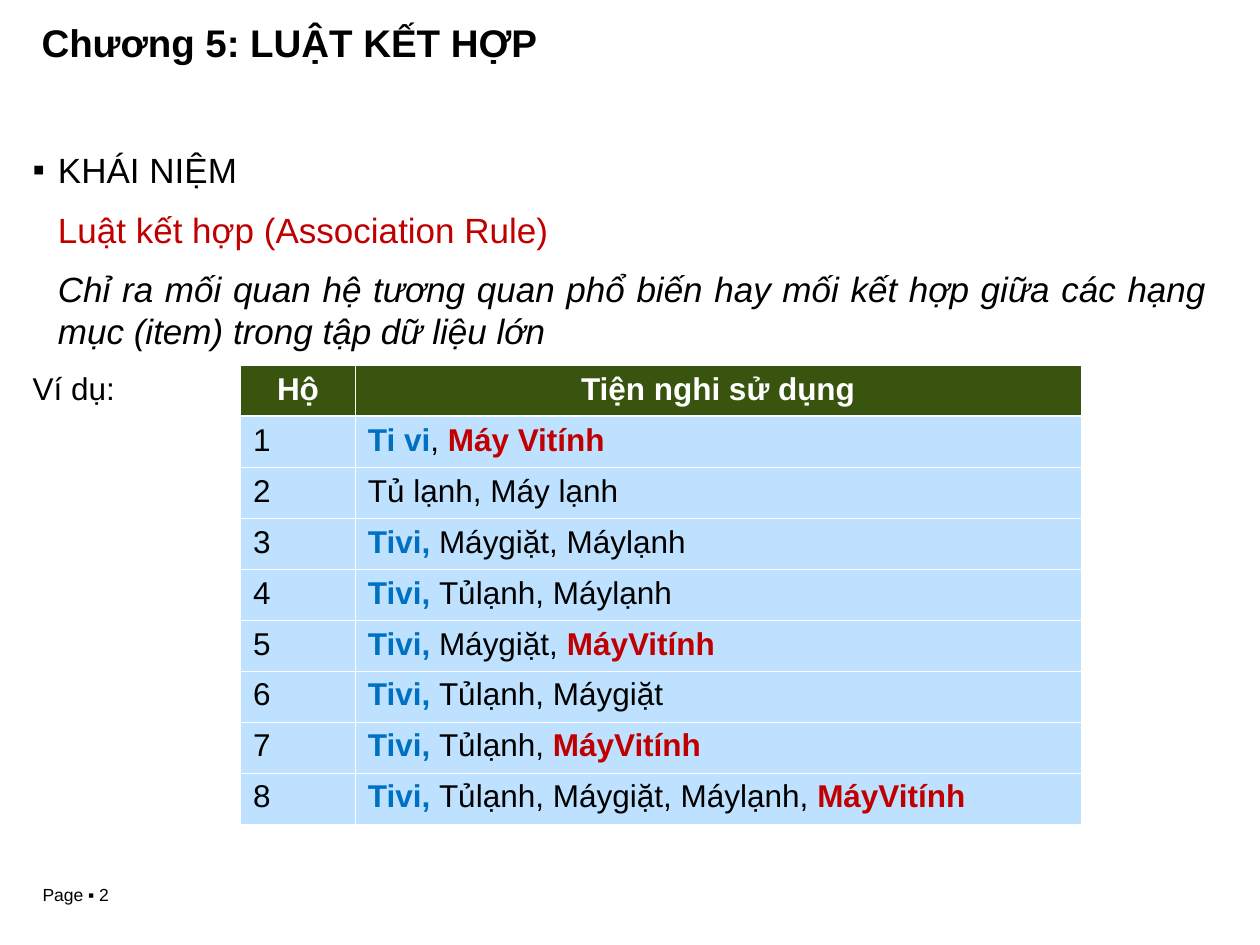
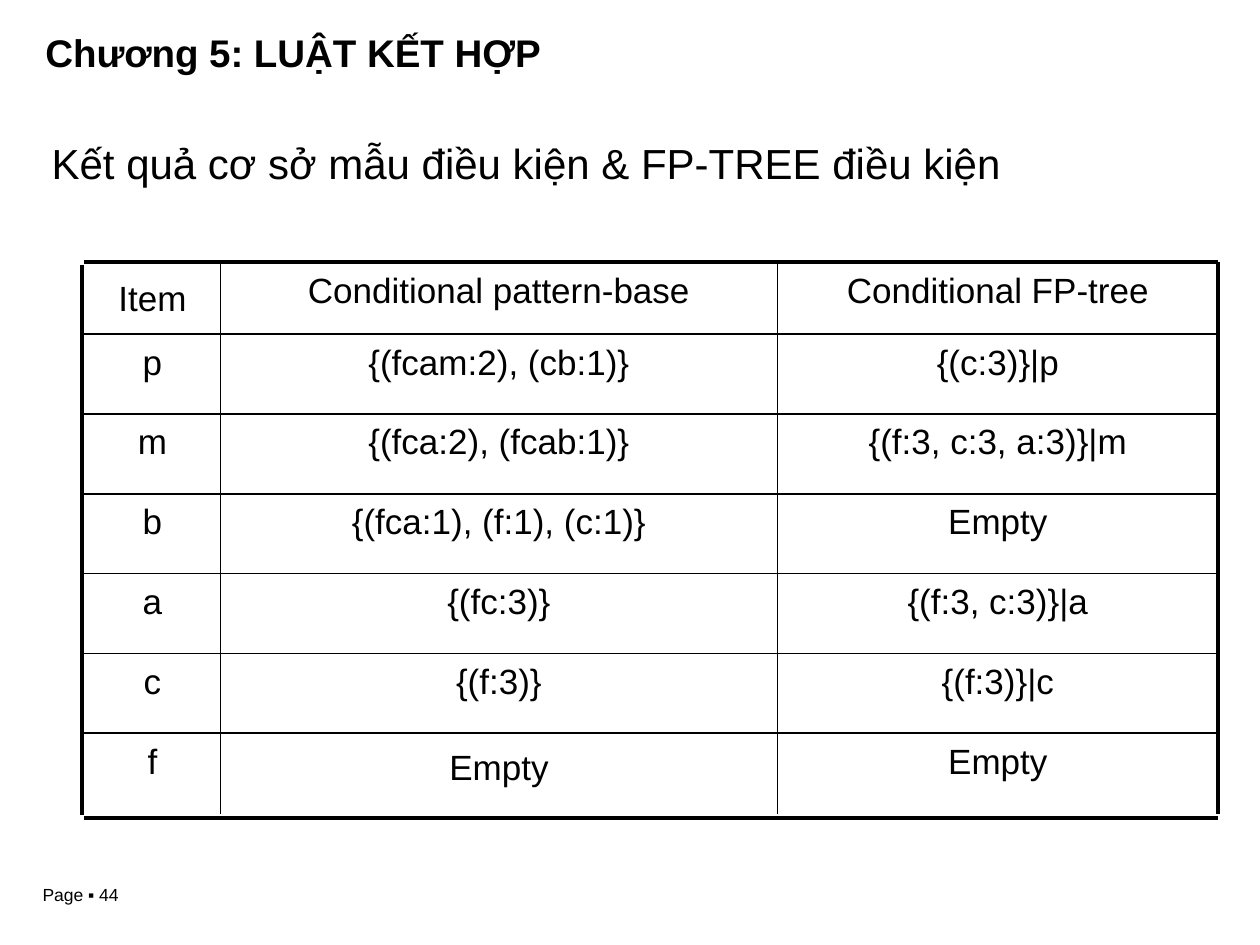
from itertools import accumulate
from lxml.etree import SubElement
from pptx import Presentation
from pptx.dml.color import RGBColor
from pptx.enum.shapes import MSO_CONNECTOR as Connector
from pptx.enum.text import MSO_ANCHOR as Anchor, PP_ALIGN as Align
from pptx.oxml import parse_xml
from pptx.oxml.ns import nsdecls, qn
from pptx.util import Inches, Pt

BLACK = RGBColor(0x00, 0x00, 0x00)
WHITE = RGBColor(0xFF, 0xFF, 0xFF)
RED = RGBColor(0xC0, 0x00, 0x00)
BLUE = RGBColor(0x00, 0x70, 0xC0)
HEADER_GREEN = RGBColor(0x39, 0x54, 0x0E)
ROW_BLUE = RGBColor(0xBD, 0xE1, 0xFF)
FONT = "Arial"
CHAPTER = "Chương 5: LUẬT KẾT HỢP"

TV = ("Tivi, ", BLUE)
COMPUTER = ("MáyVitính", RED)
HOUSEHOLDS = [
    [("Ti vi", BLUE), (", ", BLACK), ("Máy Vitính", RED)],
    [("Tủ lạnh, Máy lạnh", BLACK)],
    [TV, ("Máygiặt, Máylạnh", BLACK)],
    [TV, ("Tủlạnh, Máylạnh", BLACK)],
    [TV, ("Máygiặt, ", BLACK), COMPUTER],
    [TV, ("Tủlạnh, Máygiặt", BLACK)],
    [TV, ("Tủlạnh, ", BLACK), COMPUTER],
    [TV, ("Tủlạnh, Máygiặt, Máylạnh, ", BLACK), COMPUTER],
]
PATTERNS = [
    ("Item", "Conditional pattern-base", "Conditional FP-tree"),
    ("p", "{(fcam:2), (cb:1)}", "{(c:3)}|p"),
    ("m", "{(fca:2), (fcab:1)}", "{(f:3, c:3, a:3)}|m"),
    ("b", "{(fca:1), (f:1), (c:1)}", "Empty"),
    ("a", "{(fc:3)}", "{(f:3, c:3)}|a"),
    ("c", "{(f:3)}", "{(f:3)}|c"),
    ("f", "Empty", "Empty"),
]


def set_attrs(obj, **values):
    """Set each named attribute on an object."""
    for name, value in values.items():
        setattr(obj, name, value)


def add_run(p, text, size, color=BLACK, bold=False, italic=False):
    """Append a formatted run to a paragraph."""
    r = p.add_run()
    r.text = text
    set_attrs(r.font, name=FONT, size=Pt(size), bold=bold, italic=italic)
    r.font.color.rgb = color


def add_box(s, box, inset_x=0, inset_y=0.05):
    """Add a wrapping text box and return its text frame."""
    tf = s.shapes.add_textbox(*map(Inches, box)).text_frame
    x, y = Inches(inset_x), Inches(inset_y)
    set_attrs(tf, word_wrap=True, margin_left=x, margin_right=x,
              margin_top=y, margin_bottom=y)
    return tf


def add_title(s, box, text, size=22, bold=True, inset_x=0):
    """Add a heading line."""
    p = add_box(s, box, inset_x).paragraphs[0]
    p.line_spacing = 0.9
    add_run(p, text, size, bold=bold)


def add_footer(s, number):
    """Add the page label at the bottom left."""
    p = add_box(s, (0.24, 6.97, 1.47, 0.27), 0.1).paragraphs[0]
    add_run(p, f"Page ▪ {number}", 10)


def add_rule(s, x1, y1, x2, y2, weight):
    """Add a straight black line without a shadow."""
    line = s.shapes.add_connector(Connector.STRAIGHT,
                                  *map(Inches, (x1, y1, x2, y2)))
    line.line.color.rgb = BLACK
    line.line.width = Pt(weight)
    SubElement(line._element.spPr, qn("a:effectLst"))


def set_borders(cell, color, **widths):
    """Draw the L, R, T and B borders of a cell in points."""
    tcPr = cell._tc.get_or_add_tcPr()
    for i, side in enumerate("LRTB"):
        tcPr.insert(i, parse_xml(
            f'<a:ln{side} {nsdecls("a")} w="{Pt(widths[side])}"><a:solidFill>'
            f'<a:srgbClr val="{color}"/></a:solidFill></a:ln{side}>'))


def add_concept(s, box):
    """Add the definition of an association rule."""
    tf = add_box(s, box, inset_y=0)
    lines = [
        ("KHÁI NIỆM", 0.2, 10, Align.LEFT, dict(size=20)),
        ("Luật kết hợp (Association Rule)", 0.2, 10, Align.JUSTIFY,
         dict(size=20, color=RED)),
        ("Chỉ ra mối quan hệ tương quan phổ biến hay mối kết hợp giữa các "
         "hạng mục (item) trong tập dữ liệu lớn", 0.2, 10, Align.JUSTIFY,
         dict(size=20, italic=True)),
        ("Ví dụ:", 0, 9, Align.JUSTIFY, dict(size=18)),
    ]
    for i, (text, indent, after, align, style) in enumerate(lines):
        p = tf.add_paragraph() if i else tf.paragraphs[0]
        set_attrs(p, alignment=align, space_after=Pt(after))
        p._p.get_or_add_pPr().set("marL", str(Inches(indent)))
        add_run(p, text, **style)
    pPr = tf.paragraphs[0]._p.get_or_add_pPr()
    pPr.set("indent", str(-Inches(0.2)))
    SubElement(pPr, qn("a:buFont"), typeface=FONT)
    SubElement(pPr, qn("a:buChar"), char="▪")


def add_household_table(s, box):
    """Add the table of appliances used by each household."""
    header = [[("Hộ", WHITE)], [("Tiện nghi sử dụng", WHITE)]]
    rows = [header] + [[[(str(n), BLACK)], items]
                       for n, items in enumerate(HOUSEHOLDS, 1)]
    table = s.shapes.add_table(len(rows), 2, *map(Inches, box)).table
    set_attrs(table, first_row=False, horz_banding=False)
    first_width = 0.91
    for column, width in zip(table.columns, (first_width, box[2] - first_width)):
        column.width = Inches(width)
    for i, row in enumerate(rows):
        table.rows[i].height = Inches(box[3] / len(rows))
        for j, runs in enumerate(row):
            cell = table.cell(i, j)
            cell.fill.solid()
            cell.fill.fore_color.rgb = ROW_BLUE if i else HEADER_GREEN
            set_borders(cell, WHITE, L=0.45, R=0.45,
                        T=1.47 if i == 1 else 0.45, B=0.45 if i else 1.47)
            p = cell.text_frame.paragraphs[0]
            p.alignment = Align.LEFT if i else Align.CENTER
            for text, color in runs:
                add_run(p, text, 18, color, bold=color != BLACK)


def add_pattern_grid(s, box):
    """Add the ruled grid of conditional pattern bases and FP-trees."""
    left, top, width, height = box
    item_width, tree_width, head, foot = 1.08, 3.5, 0.57, 0.67
    last = len(PATTERNS) - 1
    inner = (height - head - foot) / (last - 1)
    widths = item_width, width - item_width - tree_width, tree_width
    heights = [head] + [inner] * (last - 1) + [foot]
    xs = list(accumulate(widths, initial=left))
    ys = list(accumulate(heights, initial=top))
    for i, row in enumerate(PATTERNS):
        for j, text in enumerate(row):
            drop = 0.05 if (i, j) == (last, 1) else 0
            cell_height = min(heights[i], 0.64)
            tf = add_box(s, (xs[j], ys[i] + drop, widths[j], cell_height), 0.1)
            if i == j == 0:
                tf.vertical_anchor = Anchor.MIDDLE
            p = tf.paragraphs[0]
            set_attrs(p, alignment=Align.CENTER, space_before=Pt(5))
            add_run(p, text, 20)
    right, bottom = xs[-1], ys[-1]
    for y in ys:
        add_rule(s, left, y, right, y, 2.25 if y in (top, bottom) else 1)
    add_rule(s, left - 0.02, top + 0.02, left - 0.02, bottom - 0.02, 2.25)
    for x in xs[1:]:
        add_rule(s, x, top, x, bottom - 0.03, 2.25 if x == right else 1)


def build_concept_slide(prs):
    """Build the slide that defines association rules."""
    s = prs.slides.add_slide(prs.slide_layouts[6])
    add_footer(s, 2)
    add_title(s, (0.33, 0.14, 9.32, 0.71), CHAPTER)
    add_concept(s, (0.26, 1.18, 9.32, 5.35))
    add_household_table(s, (1.91, 2.9, 6.67, 3.64))


def build_result_slide(prs):
    """Build the slide with the conditional FP-tree results."""
    s = prs.slides.add_slide(prs.slide_layouts[6])
    add_footer(s, 44)
    add_pattern_grid(s, (0.67, 2.08, 9, 4.41))
    add_title(s, (0.33, 1.09, 9.32, 0.71),
              "Kết quả cơ sở mẫu điều kiện & FP-TREE điều kiện",
              size=24, bold=False, inset_x=0.08)
    add_title(s, (0.36, 0.22, 9.32, 0.71), CHAPTER)


def main():
    """Build and save the presentation."""
    prs = Presentation()
    set_attrs(prs, slide_width=Inches(10), slide_height=Inches(7.5))
    build_concept_slide(prs)
    build_result_slide(prs)
    prs.save("out.pptx")


if __name__ == "__main__":
    main()
